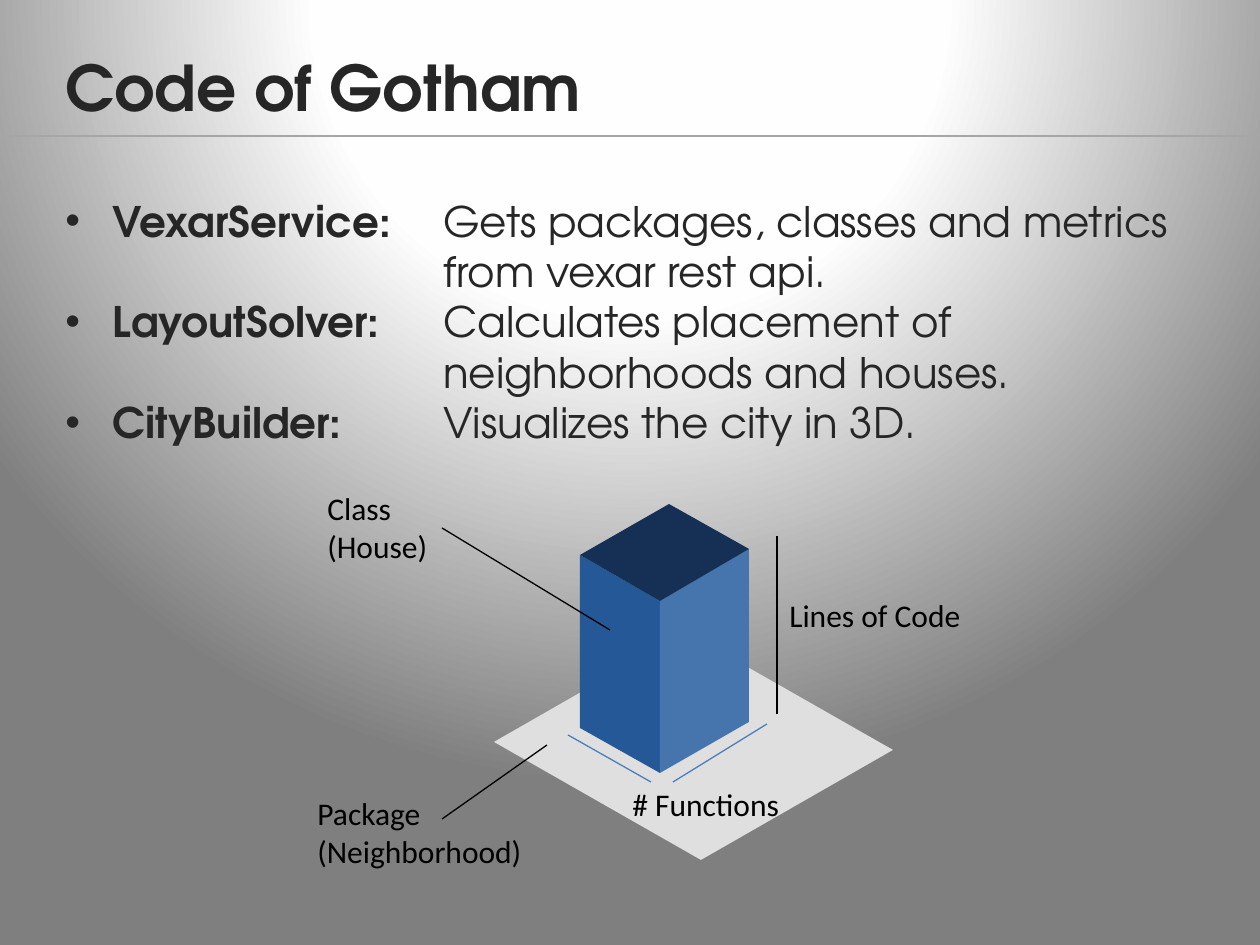
"""Build the Code of Gotham slide: three components and a labelled city block."""
import pptx
import pptx.dml.color
import pptx.enum.shapes
import pptx.enum.text
import pptx.oxml
import pptx.oxml.ns
import pptx.util
from lxml import etree

PX = 914400 / 126
COLORS = {
    "ink": "262626", "black": "000000", "rule": "A6A6A6", "measure": "4B7EBC",
    "ground": "DFDFDF", "left": "245896", "right": "4674AC", "roof": "153054",
    "glow": "FFFFFF", "halo": "FEFEFE", "edge": "7F7F7F",
}
HEADING_FONT = "TeX Gyre Adventor"


def add_text(rect, lines, size, font, color, wrap):
    box = page.shapes.add_textbox(*(round(value * PX) for value in rect))
    frame = box.text_frame
    frame.text = lines
    frame.word_wrap = wrap
    frame.auto_size = pptx.enum.text.MSO_AUTO_SIZE.SHAPE_TO_FIT_TEXT
    for para in frame.paragraphs:
        for span in para.runs:
            span.font.size = pptx.util.Pt(size)
            span.font.name = font
            span.font.color.rgb = pptx.dml.color.RGBColor.from_string(COLORS[color])
    return frame


def add_face(points, color):
    start, *rest = points
    builder = page.shapes.build_freeform(*start, scale=PX)
    builder.add_line_segments(rest, close=True)
    face = builder.convert_to_shape()
    face.shadow.inherit = False
    face.fill.solid()
    face.fill.fore_color.rgb = pptx.dml.color.RGBColor.from_string(COLORS[color])
    face.line.fill.background()


deck = pptx.Presentation()
deck.slide_width = round(1260 * PX)
deck.slide_height = round(945 * PX)
page = deck.slides.add_slide(deck.slide_layouts[6])

page.background.fill.gradient()
plain_gradient = page.element.xpath(".//p:bgPr/a:gradFill")[0]
stops = "".join(
    f'<a:gs pos="{position * 1000}"><a:srgbClr val="{COLORS[name]}"/></a:gs>'
    for position, name in ((0, "glow"), (40, "halo"), (100, "edge"))
)
radial_gradient = pptx.oxml.parse_xml(
    f'<a:gradFill {pptx.oxml.ns.nsdecls("a")} rotWithShape="1"><a:gsLst>{stops}</a:gsLst>'
    '<a:path path="circle"><a:fillToRect l="50000" t="-80000" r="50000" b="180000"/>'
    '</a:path></a:gradFill>'
)
plain_gradient.getparent().replace(plain_gradient, radial_gradient)

add_face([(494, 742), (701, 860), (893, 750), (686, 632)], "ground")

title = add_text((53, 42, 640, 89), "Code of Gotham", 36, HEADING_FONT, "ink", True)
title.paragraphs[0].runs[0].font.bold = True

components = [
    ("VexarService:", ["Gets packages, classes and metrics", "from vexar rest api."]),
    ("LayoutSolver:", ["Calculates placement of", "neighborhoods and houses."]),
    ("CityBuilder:", ["Visualizes the city in 3D."]),
]
body_text = "\n".join(
    f"{name}\v\t" + "\v\t\t\t".join(lines) for name, lines in components
)
body = add_text((53, 189, 1144, 267), body_text, 24, HEADING_FONT, "ink", True)
for para in body.paragraphs:
    para.runs[0].font.bold = True
    first_break = para._p.find(pptx.oxml.ns.qn("a:br"))
    para._p.remove(first_break)
    properties = para._p.get_or_add_pPr()
    properties.set("marL", "342900")
    properties.set("indent", "-342900")
    properties.set("defTabSz", "914400")
    bullet_font = etree.SubElement(properties, pptx.oxml.ns.qn("a:buFont"))
    bullet_font.set("typeface", "Arial")
    bullet = etree.SubElement(properties, pptx.oxml.ns.qn("a:buChar"))
    bullet.set("char", "•")

add_face([(580, 555), (660, 601), (660, 773), (580, 728)], "left")
add_face([(660, 601), (749, 549), (749, 722), (660, 773)], "right")
add_face([(580, 555), (669, 504), (749, 549), (660, 601)], "roof")

for ends, color in [
    ((-10, 136, 1270, 136), "rule"),
    ((442, 819, 547, 745), "black"),
    ((442, 528, 610, 630), "black"),
    ((777, 536, 777, 714), "black"),
    ((767, 724, 673, 782), "measure"),
    ((651, 782, 568, 735), "measure"),
]:
    line = page.shapes.add_connector(
        pptx.enum.shapes.MSO_CONNECTOR.STRAIGHT, *(round(value * PX) for value in ends)
    )
    line.line.width = pptx.util.Pt(0.75)
    line.line.color.rgb = pptx.dml.color.RGBColor.from_string(COLORS[color])
    etree.SubElement(line.element.spPr, pptx.oxml.ns.qn("a:effectLst"))

for rect, label in [
    ((305, 788, 232, 89), "Package\v(Neighborhood)"),
    ((315, 483, 126, 89), "Class\v(House)"),
    ((777, 590, 199, 50), "Lines of Code"),
    ((620, 779, 174, 50), "# Functions"),
]:
    add_text(rect, label, 18, "Calibri", "black", False)

deck.save("out.pptx")
